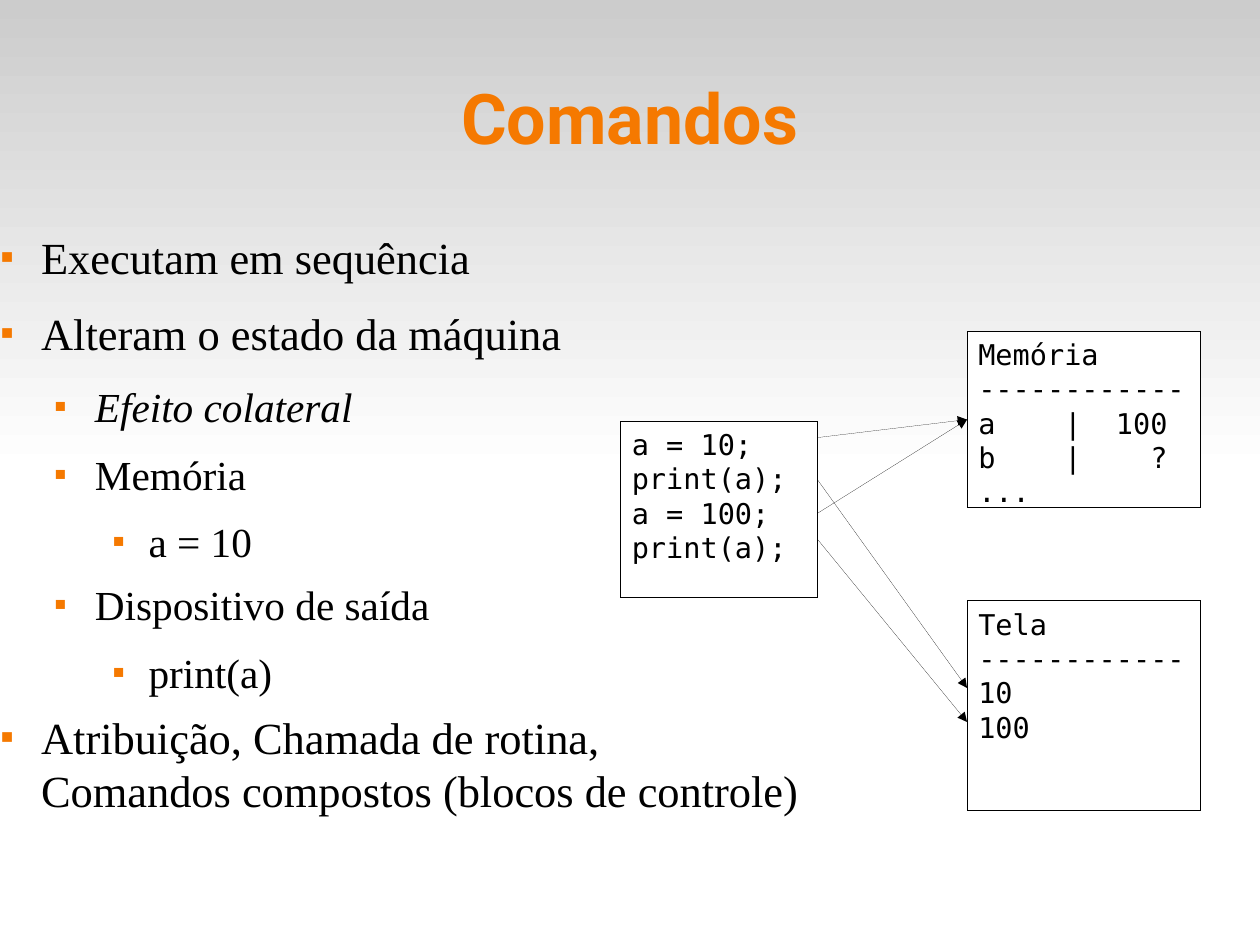
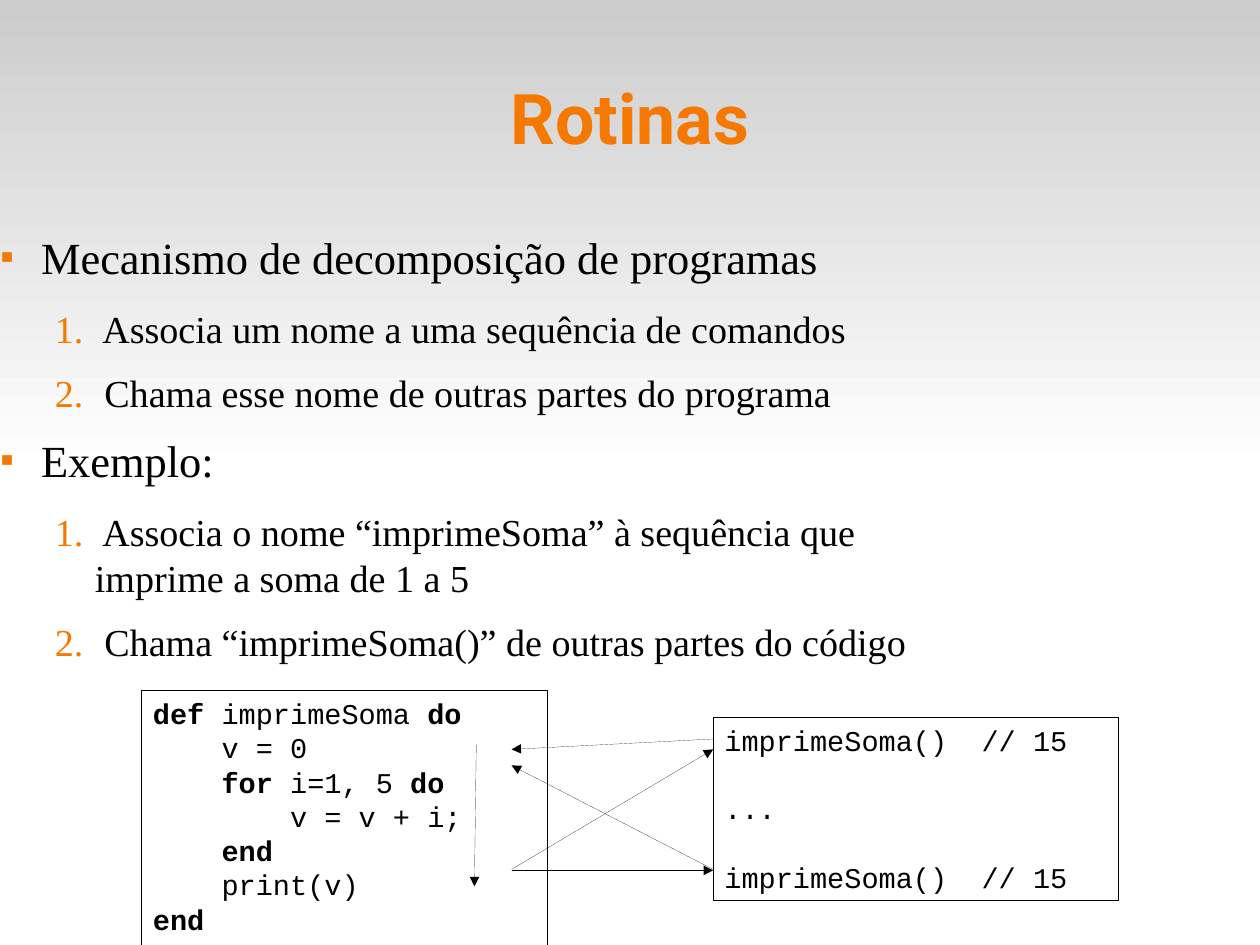
"""Build two lecture slides on commands and routines."""
import lxml.etree
import pptx
import pptx.dml.color
import pptx.enum.shapes
import pptx.enum.text
import pptx.oxml.ns
import pptx.util


class Theme:
    accent = pptx.dml.color.RGBColor(0xF5, 0x79, 0x00)
    ink = pptx.dml.color.RGBColor(0, 0, 0)
    paper = pptx.dml.color.RGBColor(255, 255, 255)
    band = pptx.dml.color.RGBColor(0xCC, 0xCC, 0xCC)
    title_font = "Roboto"
    body_font = "Times New Roman"
    title_size = pptx.util.Pt(44)
    code_size = pptx.util.Pt(18)
    code_line = pptx.util.Pt(21.6)
    hairline = "0"
    margins = (0.47, 0.94, 1.41)
    hangings = (0.35, 0.35, 0.31)
    gaps = (14.2, 11.3, 8.5)
    bullet = [("a:buSzPct", {"val": "45000"}), ("a:buChar", {"char": "■"})]
    number = [("a:buSzPct", {"val": "100000"}), ("a:buAutoNum", {"type": "arabicPeriod"})]


SLIDES = [
    {
        "title": "Comandos",
        "sizes": (28, 26, 26),
        "numbered": False,
        "items": [
            (0, "Executam em sequência"),
            (0, "Alteram o estado da máquina"),
            (1, "Efeito colateral"),
            (1, "Memória"),
            (2, "a = 10"),
            (1, "Dispositivo de saída"),
            (2, "print(a)"),
            (0, "Atribuição, Chamada de rotina,\vComandos compostos (blocos de controle)"),
        ],
        "italic": "Efeito colateral",
        "code_font": "DejaVu Sans Mono",
        "boxes": [
            ((49.25, 44.6, 15.6, 18.6), 0, ["a = 10;", "print(a);", "a = 100;", "print(a);"]),
            ((76.75, 35.05, 18.5, 18.7), 0,
             ["Memória", "------------", "a    |  100", "b    |    ?", "..."]),
            ((76.75, 63.6, 18.5, 22.2), 0, ["Tela", "------------", "10", "100"]),
        ],
        "arrows": [
            (64.9, 46.3, 76.75, 44.4),
            (64.9, 50.8, 76.75, 72.8),
            (64.9, 54.3, 76.75, 44.4),
            (64.9, 57.1, 76.75, 76.4),
        ],
    },
    {
        "title": "Rotinas",
        "sizes": (28, 24, 24),
        "numbered": True,
        "items": [
            (0, "Mecanismo de decomposição de programas"),
            (1, " Associa um nome a uma sequência de comandos"),
            (1, " Chama esse nome de outras partes do programa"),
            (0, "Exemplo:"),
            (1, " Associa o nome “imprimeSoma” à sequência que\vimprime a soma de 1 a 5"),
            (1, " Chama “imprimeSoma()” de outras partes do código"),
        ],
        "italic": None,
        "code_font": "Courier New",
        "boxes": [
            ((11.25, 73.05, 32.2, 28.5), 0,
             ["*def* imprimeSoma *do*", "    v = 0", "    *for* i=1, 5 *do*",
              "        v = v + i;", "    *end*", "    print(v)", "*end*"]),
            ((56.6, 75.9, 32.2, 19.4), 1,
             ["imprimeSoma()  // 15", "...", "imprimeSoma()  // 15"]),
        ],
        "arrows": [
            (56.6, 78.2, 40.6, 79.3),
            (56.6, 92, 40.6, 81),
            (37.8, 78.8, 37.65, 93.8),
            (40.6, 92, 56.6, 79.3),
            (40.6, 92.1, 56.6, 92.1),
        ],
    },
]

presentation = pptx.Presentation()
presentation.slide_width = pptx.util.Cm(28)
presentation.slide_height = pptx.util.Cm(21)
column = presentation.slide_width / 100
row = presentation.slide_height / 100
layout = presentation.slide_layouts[1]


def grid(*shares):
    return [round(share * (row if index % 2 else column)) for index, share in enumerate(shares)]


def add_element(parent, tag, **attributes):
    return lxml.etree.SubElement(parent, pptx.oxml.ns.qn(tag), **attributes)


for placeholder, area in zip(layout.placeholders, [(5, 4, 90, 16.7), (-1, 24.3, 96.3, 66)]):
    placeholder.left, placeholder.top, placeholder.width, placeholder.height = grid(*area)

for number, content in enumerate(SLIDES):
    slide = presentation.slides.add_slide(layout)

    if number == 0:
        band = slide.shapes.add_shape(
            pptx.enum.shapes.MSO_SHAPE.RECTANGLE, *grid(0, 0, 100, 50))
        band.shadow.inherit = False
        band.line.fill.background()
        band.fill.gradient()
        band.fill.gradient_angle = 270
        for stop, color in zip(band.fill.gradient_stops, (Theme.band, Theme.paper)):
            stop.color.rgb = color
        presentation.slide_master.shapes.element.insert(2, band.element)

    title, body = slide.placeholders
    for placeholder in (title, body):
        frame = placeholder.text_frame
        frame.margin_left = frame.margin_right = frame.margin_top = frame.margin_bottom = 0
        frame.auto_size = pptx.enum.text.MSO_AUTO_SIZE.NONE

    title.text_frame.text = content["title"]
    title.text_frame.vertical_anchor = pptx.enum.text.MSO_ANCHOR.MIDDLE
    paragraph = title.text_frame.paragraphs[0]
    paragraph.alignment = pptx.enum.text.PP_ALIGN.CENTER
    font = paragraph.runs[0].font
    font.name, font.size, font.bold = Theme.title_font, Theme.title_size, True
    font.color.rgb = Theme.accent

    body.text_frame.text = "\n".join(text for level, text in content["items"])
    for paragraph, (level, text) in zip(body.text_frame.paragraphs, content["items"]):
        paragraph.level = level
        paragraph.space_before = pptx.util.Pt(0)
        paragraph.space_after = pptx.util.Pt(Theme.gaps[level])
        properties = paragraph._p.get_or_add_pPr()
        properties.set("marL", str(pptx.util.Inches(Theme.margins[level])))
        properties.set("indent", str(-pptx.util.Inches(Theme.hangings[level])))
        add_element(add_element(properties, "a:buClr"), "a:srgbClr", val=str(Theme.accent))
        for tag, attributes in Theme.number if content["numbered"] and level else Theme.bullet:
            add_element(properties, tag, **attributes)
        for run in paragraph.runs:
            run.font.name = Theme.body_font
            run.font.size = pptx.util.Pt(content["sizes"][level])
            run.font.color.rgb = Theme.ink
            run.font.italic = text == content["italic"]

    for area, blank_lines, code in content["boxes"]:
        box = slide.shapes.add_shape(pptx.enum.shapes.MSO_SHAPE.RECTANGLE, *grid(*area))
        box.shadow.inherit = False
        box.fill.solid()
        box.fill.fore_color.rgb = Theme.paper
        box.line.color.rgb = Theme.ink
        box.line._get_or_add_ln().set("w", Theme.hairline)
        frame = box.text_frame
        frame.word_wrap = True
        frame.vertical_anchor = pptx.enum.text.MSO_ANCHOR.TOP
        frame.text = "\n".join(code)
        for paragraph in frame.paragraphs:
            paragraph.alignment = pptx.enum.text.PP_ALIGN.LEFT
            paragraph.line_spacing = Theme.code_line
            paragraph.space_after = blank_lines * Theme.code_line
            pieces = paragraph.text.split("*")
            paragraph.clear()
            for index, piece in enumerate(pieces):
                if piece:
                    run = paragraph.add_run()
                    run.text = piece
                    run.font.name = content["code_font"]
                    run.font.size = Theme.code_size
                    run.font.color.rgb = Theme.ink
                    run.font.bold = index % 2 == 1

    for ends in content["arrows"]:
        arrow = slide.shapes.add_connector(
            pptx.enum.shapes.MSO_CONNECTOR.STRAIGHT, *grid(*ends))
        arrow.line.color.rgb = Theme.ink
        outline = arrow.line._get_or_add_ln()
        outline.set("w", Theme.hairline)
        add_element(outline, "a:tailEnd", type="triangle")
        add_element(arrow.element.spPr, "a:effectLst")

presentation.save("out.pptx")
